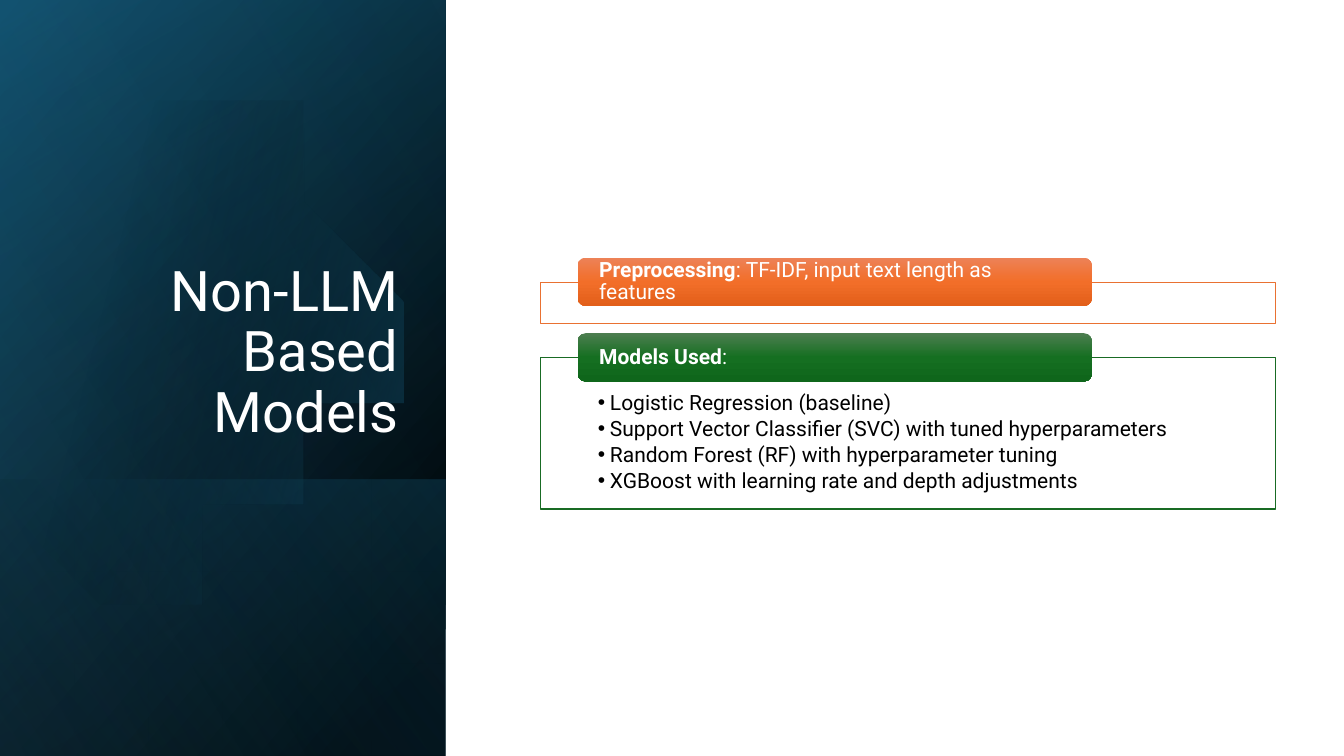
import pptx
import pptx.util
import pptx.dml.color
import pptx.enum.shapes
import pptx.enum.text
import pptx.oxml
import pptx.oxml.ns

Inches, Pt = pptx.util.Inches, pptx.util.Pt
RGBColor = pptx.dml.color.RGBColor
Shape = pptx.enum.shapes.MSO_SHAPE
Align, Anchor = pptx.enum.text.PP_ALIGN, pptx.enum.text.MSO_ANCHOR
qn = pptx.oxml.ns.qn

FONT = "Roboto"
WHITE, BLACK = RGBColor(255, 255, 255), RGBColor(0, 0, 0)
TEAL, DEEP_TEAL = RGBColor(0x15, 0x60, 0x82), RGBColor(0x10, 0x48, 0x62)
SKY = RGBColor(0x46, 0xB1, 0xE1)
ORANGE, GREEN = RGBColor(0xE9, 0x71, 0x32), RGBColor(0x19, 0x6B, 0x24)
ORANGE_SHADES = [RGBColor(0xED, 0x82, 0x57), RGBColor(0xF2, 0x6E, 0x29), RGBColor(0xE2, 0x5F, 0x1A)]
GREEN_SHADES = [RGBColor(0x4D, 0x7E, 0x50), RGBColor(0x15, 0x6F, 0x21), RGBColor(0x0F, 0x66, 0x1B)]

TITLE = "Non-LLM Based Models"
MODELS = [
    "Logistic Regression (baseline)",
    "Support Vector Classifier (SVC) with tuned hyperparameters",
    "Random Forest (RF) with hyperparameter tuning",
    "XGBoost with learning rate and depth adjustments",
]
# Bold lead, remaining text, frame top, frame height, line colour, label shades
SECTIONS = [
    ("Preprocessing", ": TF-IDF, input text length as features", 2.8, 0.41, ORANGE, ORANGE_SHADES),
    ("Models Used", ":", 3.55, 1.5, GREEN, GREEN_SHADES),
]
FRAME_LEFT, FRAME_WIDTH = 5.36, 7.29
LABEL_LEFT, LABEL_WIDTH, LABEL_HEIGHT, LABEL_RISE = 5.73, 5.1, 0.48, 0.245

PANEL_WIDTH, PANEL_HEIGHT = 4.42, 7.5
# Top on the slide, angle, stops of (position, colour, opacity) in percent
LOWER_LAYERS = [
    (0, 50, [(8, BLACK, 100), (100, DEEP_TEAL, 100)]),
    (0, 30, [(0, BLACK, 0), (99, TEAL, 46)]),
    (4.76, 130, [(2, TEAL, 29), (100, BLACK, 30)]),
]
SHEEN = (0, 120, [(0, BLACK, 0), (99, SKY, 11)])

DISC_STOPS = [(29, BLACK, 0), (100, TEAL, 43)]
DISC_START = (1.49, 1.1)
DISC_CURVES = [
    ((2.46, 1.12), (3.35, 1.77), (3.63, 2.75)),
    ((3.98, 3.97), (3.28, 5.23), (2.07, 5.58)),
    ((1.31, 5.8), (0.53, 5.61), (0, 5.16)),
    ((0, 5.16), (0, 1.61), (0, 1.61)),
    ((0.23, 1.42), (0.5, 1.28), (0.8, 1.19)),
    ((1.03, 1.13), (1.26, 1.1), (1.49, 1.1)),
]
CURVE_STEPS = 16


def set_all(target, values):
    for name, value in values.items():
        setattr(target, name, value)


def fill_gradient(shape, angle, stops):
    """Replace the fill with a linear gradient whose stops carry opacity."""
    shape.fill.background()
    stop_xml = "".join(
        f'<a:gs pos="{position * 1000}"><a:srgbClr val="{colour}">'
        f'<a:alpha val="{opacity * 1000}"/></a:srgbClr></a:gs>'
        for position, colour, opacity in stops)
    gradient = pptx.oxml.parse_xml(
        f'<a:gradFill {pptx.oxml.ns.nsdecls("a")} rotWithShape="1"><a:gsLst>{stop_xml}</a:gsLst>'
        f'<a:lin ang="{angle * 60000}" scaled="0"/></a:gradFill>')
    properties = shape.element.spPr
    properties.replace(properties.find(qn("a:noFill")), gradient)


def add_box(page, kind, left, top, width, height):
    box = page.shapes.add_shape(kind, Inches(left), Inches(top), Inches(width), Inches(height))
    box.shadow.inherit = False
    box.line.fill.background()
    return box


def add_panel_layer(page, top, angle, stops):
    """Add a mirrored rectangle turned 90 degrees that reaches the slide bottom."""
    length = PANEL_HEIGHT - top
    layer = add_box(page, Shape.RECTANGLE, (PANEL_WIDTH - length) / 2,
                    top + (length - PANEL_WIDTH) / 2, length, PANEL_WIDTH)
    layer.rotation = 90
    layer.element.spPr.find(qn("a:xfrm")).set("flipH", "1")
    fill_gradient(layer, angle, stops)


def curve_points(start, control_1, control_2, end):
    for step in range(1, CURVE_STEPS + 1):
        t = step / CURVE_STEPS
        weights = ((1 - t) ** 3, 3 * t * (1 - t) ** 2, 3 * t * t * (1 - t), t ** 3)
        corners = (start, control_1, control_2, end)
        yield tuple(sum(w * corner[axis] for w, corner in zip(weights, corners)) for axis in (0, 1))


def add_disc(page):
    points, start = [], DISC_START
    for curve in DISC_CURVES:
        points.extend(curve_points(start, *curve))
        start = curve[-1]
    builder = page.shapes.build_freeform(*DISC_START, scale=float(Inches(1)))
    builder.add_line_segments(points, close=True)
    disc = builder.convert_to_shape()
    disc.shadow.inherit = False
    disc.line.fill.background()
    fill_gradient(disc, 14, DISC_STOPS)


def add_span(para, text, size, colour, bold=False):
    span = para.add_run()
    span.text = text
    set_all(span.font, {"name": FONT, "size": Pt(size), "bold": bold})
    span.font.color.rgb = colour


def place(holder, left, top, width, height):
    """Move a placeholder to its spot and to the front."""
    set_all(holder, {"left": Inches(left), "top": Inches(top),
                     "width": Inches(width), "height": Inches(height)})
    holder.element.getparent().append(holder.element)
    set_all(holder.text_frame, {"word_wrap": True, "auto_size": pptx.enum.text.MSO_AUTO_SIZE.NONE})


def add_frame(page, top, height, colour):
    frame = add_box(page, Shape.RECTANGLE, FRAME_LEFT, top, FRAME_WIDTH, height)
    frame.fill.solid()
    frame.fill.fore_color.rgb = WHITE
    frame.line.color.rgb = colour
    frame.line.width = Pt(1)


def add_label(page, frame_top, lead, rest, shades):
    label = add_box(page, Shape.ROUNDED_RECTANGLE, LABEL_LEFT, frame_top - LABEL_RISE,
                    LABEL_WIDTH, LABEL_HEIGHT)
    fill_gradient(label, 90, [(50 * i, shade, 100) for i, shade in enumerate(shades)])
    set_all(label.text_frame, {
        "word_wrap": True, "vertical_anchor": Anchor.MIDDLE, "margin_left": Inches(0.19),
        "margin_right": Inches(0.19), "margin_top": 0, "margin_bottom": 0})
    para = label.text_frame.paragraphs[0]
    set_all(para, {"alignment": Align.LEFT, "line_spacing": 0.9})
    add_span(para, lead, 15, WHITE, bold=True)
    add_span(para, rest, 15, WHITE)


def fill_list(body):
    frame = body.text_frame
    set_all(frame, {"vertical_anchor": Anchor.TOP, "margin_left": Inches(0.57),
                    "margin_right": Inches(0.57), "margin_top": Inches(0.34),
                    "margin_bottom": Inches(0.12)})
    for index, model in enumerate(MODELS):
        para = frame.add_paragraph() if index else frame.paragraphs[0]
        set_all(para, {"alignment": Align.LEFT, "line_spacing": 0.9,
                       "space_before": Pt(0), "space_after": Pt(2.5)})
        add_span(para, model, 15, BLACK)
        properties = para._p.get_or_add_pPr()
        properties.set("marL", str(Inches(0.12)))
        properties.set("indent", str(-Inches(0.12)))
        properties.append(pptx.oxml.parse_xml(
            f'<a:buChar {pptx.oxml.ns.nsdecls("a")} char="•"/>'))


def main():
    deck = pptx.Presentation()
    set_all(deck, {"slide_width": Inches(13.33), "slide_height": Inches(7.5)})
    page = deck.slides.add_slide(deck.slide_layouts[1])
    title, body = page.shapes.title, page.placeholders[1]

    for layer in LOWER_LAYERS:
        add_panel_layer(page, *layer)
    add_disc(page)
    add_panel_layer(page, *SHEEN)

    place(title, 0.64, 1.84, 3.41, 2.62)
    title.text_frame.vertical_anchor = Anchor.BOTTOM
    heading = title.text_frame.paragraphs[0]
    set_all(heading, {"alignment": Align.RIGHT, "line_spacing": 0.9})
    add_span(heading, TITLE, 40, WHITE)

    for lead, rest, top, height, colour, shades in SECTIONS:
        add_frame(page, top, height, colour)
        add_label(page, top, lead, rest, shades)
    place(body, FRAME_LEFT, top, FRAME_WIDTH, height)
    fill_list(body)
    deck.save("out.pptx")


if __name__ == "__main__":
    main()
